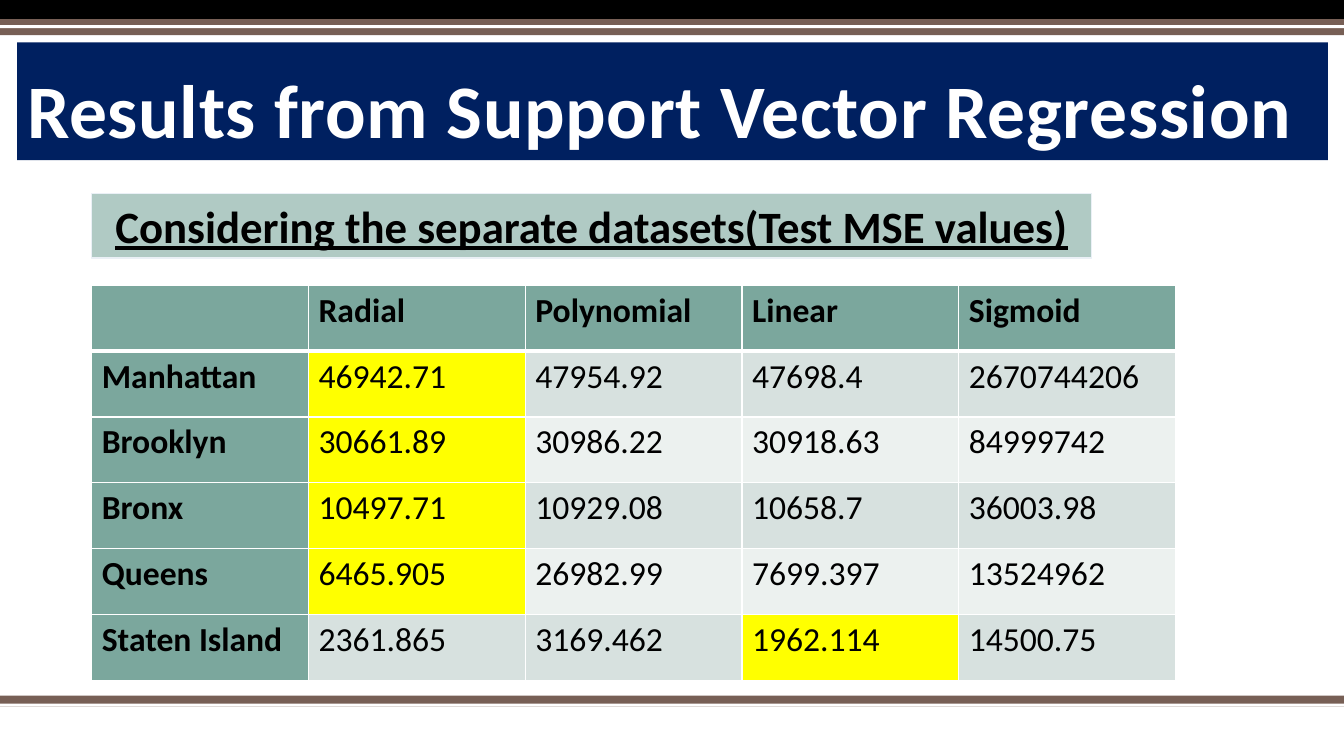
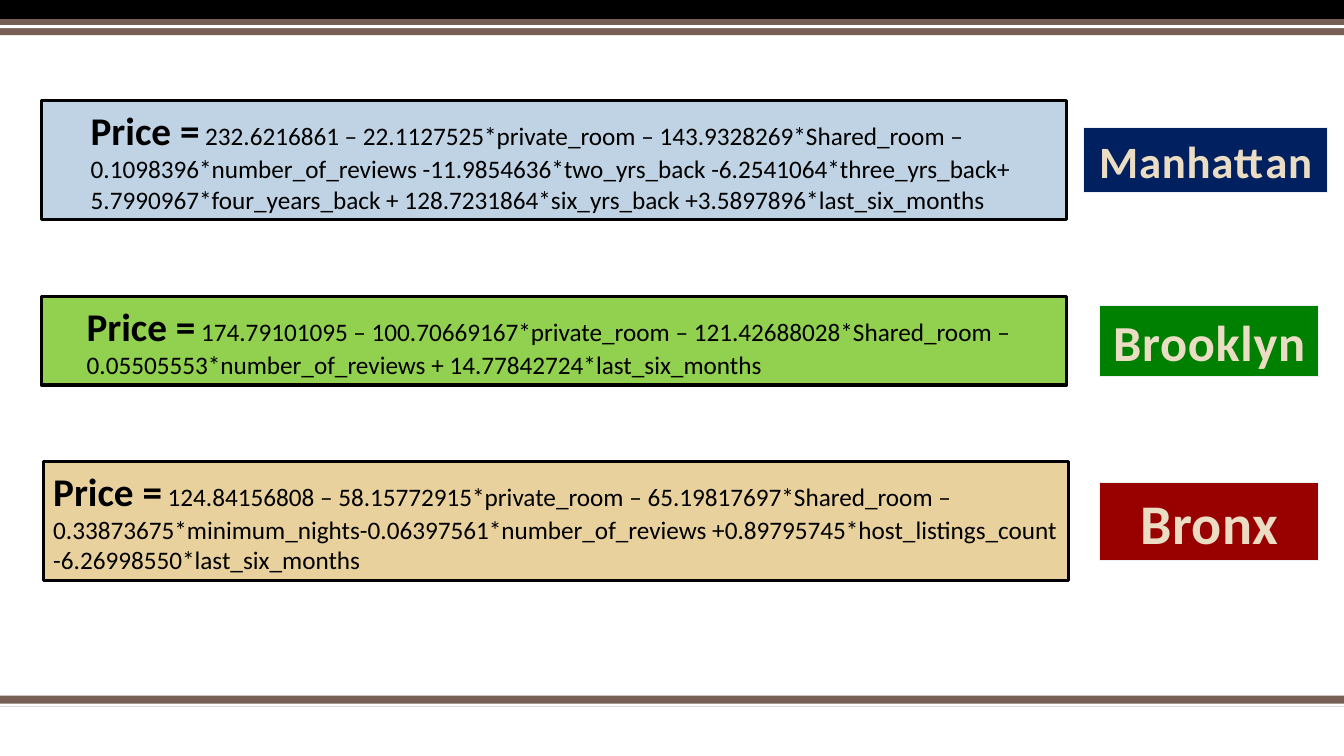
from dataclasses import dataclass

from lxml import etree
from pptx import Presentation
from pptx.dml.color import RGBColor
from pptx.enum.shapes import MSO_SHAPE
from pptx.enum.text import MSO_ANCHOR, PP_ALIGN
from pptx.oxml.ns import qn
from pptx.util import Emu, Pt

RECT = MSO_SHAPE.RECTANGLE
LEFT, CENTER = PP_ALIGN.LEFT, PP_ALIGN.CENTER
MIDDLE, BOTTOM = MSO_ANCHOR.MIDDLE, MSO_ANCHOR.BOTTOM

EMU_PER_PX = 9144
SLIDE_W, SLIDE_H = 1333, 750
FONT = "Calibri"
BLACK, WHITE = "000000", "FFFFFF"
BROWN, NAVY, CREAM = "775F55", "002060", "EBDDC3"
SAGE, SAGE_LIGHT, PALE_LINE = "7BA79D", "B0CAC4", "EAF0F6"
ROW_FILLS = ("D7E1DF", "ECF1EF")
HIGHLIGHT = "FFFF00"


@dataclass(frozen=True)
class Box:
    x: int
    y: int
    w: int
    h: int


@dataclass(frozen=True)
class Band:
    y: int
    h: int
    color: str


@dataclass(frozen=True)
class TextStyle:
    size: int
    color: str = BLACK
    align: PP_ALIGN = CENTER
    anchor: MSO_ANCHOR = MIDDLE
    underline: bool = False
    tracking: int = 0
    line_spacing: float = 1.0


@dataclass(frozen=True)
class Equation:
    box: Box
    fill: str
    inset: int
    terms: str


@dataclass(frozen=True)
class Label:
    box: Box
    fill: str
    size: int
    text: str


BANDS = (
    Band(690, 11, BROWN),
    Band(698, 3, WHITE),
    Band(0, 19, BLACK),
    Band(19, 16, BROWN),
    Band(25, 3, WHITE),
)
TITLE_BOX = Box(17, 42, 1300, 117)
TITLE_STYLE = TextStyle(54, WHITE, LEFT, BOTTOM, tracking=50, line_spacing=0.9)
SUBTITLE_BOX = Box(91, 192, 992, 64)
SUBTITLE_STYLE = TextStyle(32, underline=True)

TABLE_BOX = Box(91, 283, 1075, 392)
MSE_ROWS = (
    ("", "Radial", "Polynomial", "Linear", "Sigmoid"),
    ("Manhattan", "46942.71", "47954.92", "47698.4", "2670744206"),
    ("Brooklyn", "30661.89", "30986.22", "30918.63", "84999742"),
    ("Bronx", "10497.71", "10929.08", "10658.7", "36003.98"),
    ("Queens", "6465.905", "26982.99", "7699.397", "13524962"),
    ("Staten Island", "2361.865", "3169.462", "1962.114", "14500.75"),
)

EQUATIONS = (
    Equation(
        Box(41, 100, 1017, 118), "BFD3E4", 49,
        "232.6216861 – 22.1127525*private_room – 143.9328269*Shared_room – "
        "0.1098396*number_of_reviews -11.9854636*two_yrs_back "
        "-6.2541064*three_yrs_back+ 5.7990967*four_years_back + "
        "128.7231864*six_yrs_back +3.5897896*last_six_months",
    ),
    Equation(
        Box(41, 294, 1017, 88), "92D050", 45,
        "174.79101095 – 100.70669167*private_room – 121.42688028*Shared_room – "
        "0.05505553*number_of_reviews + 14.77842724*last_six_months",
    ),
    Equation(
        Box(43, 458, 1017, 118), "E8D19D", 10,
        "124.84156808 – 58.15772915*private_room – 65.19817697*Shared_room – "
        "0.33873675*minimum_nights-0.06397561*number_of_reviews "
        "+0.89795745*host_listings_count -6.26998550*last_six_months",
    ),
)
LABELS = (
    Label(Box(1075, 127, 242, 64), NAVY, 32, "Manhattan"),
    Label(Box(1091, 303, 217, 71), "008000", 36, "Brooklyn"),
    Label(Box(1091, 479, 217, 77), "990000", 40, "Bronx"),
)


def px(n: int) -> Emu:
    return Emu(n * EMU_PER_PX)


def rgb(color: str) -> RGBColor:
    return RGBColor.from_string(color)


def add_rect(slide, box: Box, fill: str, line: str = "", line_pt: float = 0.75):
    sp = slide.shapes.add_shape(RECT, px(box.x), px(box.y), px(box.w), px(box.h))
    sp.shadow.inherit = False
    sp.fill.solid()
    sp.fill.fore_color.rgb = rgb(fill)
    if line:
        sp.line.color.rgb = rgb(line)
        sp.line.width = Pt(line_pt)
    else:
        sp.line.fill.background()
    return sp


def set_font(p, color: str = BLACK) -> None:
    p.font.name = FONT
    p.font.color.rgb = rgb(color)


def write_text(sp, text: str, style: TextStyle) -> None:
    tf = sp.text_frame
    tf.word_wrap = True
    tf.vertical_anchor = style.anchor
    p = tf.paragraphs[0]
    p.alignment = style.align
    p.line_spacing = style.line_spacing
    set_font(p, style.color)
    p.font.size = Pt(style.size)
    p.font.bold = True
    p.font.underline = style.underline
    r = p.add_run()
    r.text = text
    if style.tracking:
        r._r.get_or_add_rPr().set("spc", str(style.tracking))


def add_equation(slide, eq: Equation) -> None:
    sp = add_rect(slide, eq.box, eq.fill, BLACK, 2.25)
    tf = sp.text_frame
    tf.word_wrap = True
    tf.vertical_anchor = MIDDLE
    tf.margin_left, tf.margin_right = px(eq.inset), px(6)
    p = tf.paragraphs[0]
    p.alignment = LEFT
    set_font(p)
    for text, size, bold in (("Price =", 28, True), (f" {eq.terms}", 18, False)):
        r = p.add_run()
        r.text = text
        r.font.size = Pt(size)
        r.font.bold = bold


def add_label(slide, label: Label) -> None:
    sp = add_rect(slide, label.box, label.fill, PALE_LINE)
    write_text(sp, label.text, TextStyle(label.size, CREAM, tracking=50))


def set_borders(cell, row: int) -> None:
    tc_pr = cell._tc.get_or_add_tcPr()
    widths = {"L": 1, "R": 1, "T": 3 if row == 1 else 1, "B": 3 if row == 0 else 1}
    for side, width in widths.items():
        ln = etree.SubElement(tc_pr, qn(f"a:ln{side}"), w=str(Pt(width)))
        fill = etree.SubElement(ln, qn("a:solidFill"))
        etree.SubElement(fill, qn("a:srgbClr"), val=WHITE)


def cell_fill(row: int, col: int, best: str) -> str:
    if row == 0 or col == 0:
        return SAGE
    if MSE_ROWS[row][col] == best:
        return HIGHLIGHT
    return ROW_FILLS[(row - 1) % 2]


def add_mse_table(slide) -> None:
    box = TABLE_BOX
    n_rows, n_cols = len(MSE_ROWS), len(MSE_ROWS[0])
    table = slide.shapes.add_table(
        n_rows, n_cols, px(box.x), px(box.y), px(box.w), px(box.h)
    ).table
    for i, values in enumerate(MSE_ROWS):
        best = min(values[1:], key=float) if i else ""
        for j, value in enumerate(values):
            cell = table.cell(i, j)
            set_borders(cell, i)
            cell.fill.solid()
            cell.fill.fore_color.rgb = rgb(cell_fill(i, j, best))
            p = cell.text_frame.paragraphs[0]
            set_font(p)
            p.font.size = Pt(24)
            p.font.bold = i == 0 or j == 0
            if value:
                p.add_run().text = value


def add_slide(prs):
    slide = prs.slides.add_slide(prs.slide_layouts[6])
    for band in BANDS:
        add_rect(slide, Box(0, band.y, SLIDE_W, band.h), band.color)
    return slide


def build_results(prs) -> None:
    slide = add_slide(prs)
    add_mse_table(slide)
    title = add_rect(slide, TITLE_BOX, NAVY)
    write_text(title, "Results from Support Vector Regression", TITLE_STYLE)
    subtitle = add_rect(slide, SUBTITLE_BOX, SAGE_LIGHT, PALE_LINE)
    write_text(
        subtitle, "Considering the separate datasets(Test MSE values)", SUBTITLE_STYLE
    )


def build_equations(prs) -> None:
    slide = add_slide(prs)
    for eq in EQUATIONS:
        add_equation(slide, eq)
    for label in LABELS:
        add_label(slide, label)


def main() -> None:
    prs = Presentation()
    prs.slide_width, prs.slide_height = px(SLIDE_W), px(SLIDE_H)
    build_results(prs)
    build_equations(prs)
    prs.save("out.pptx")


if __name__ == "__main__":
    main()
